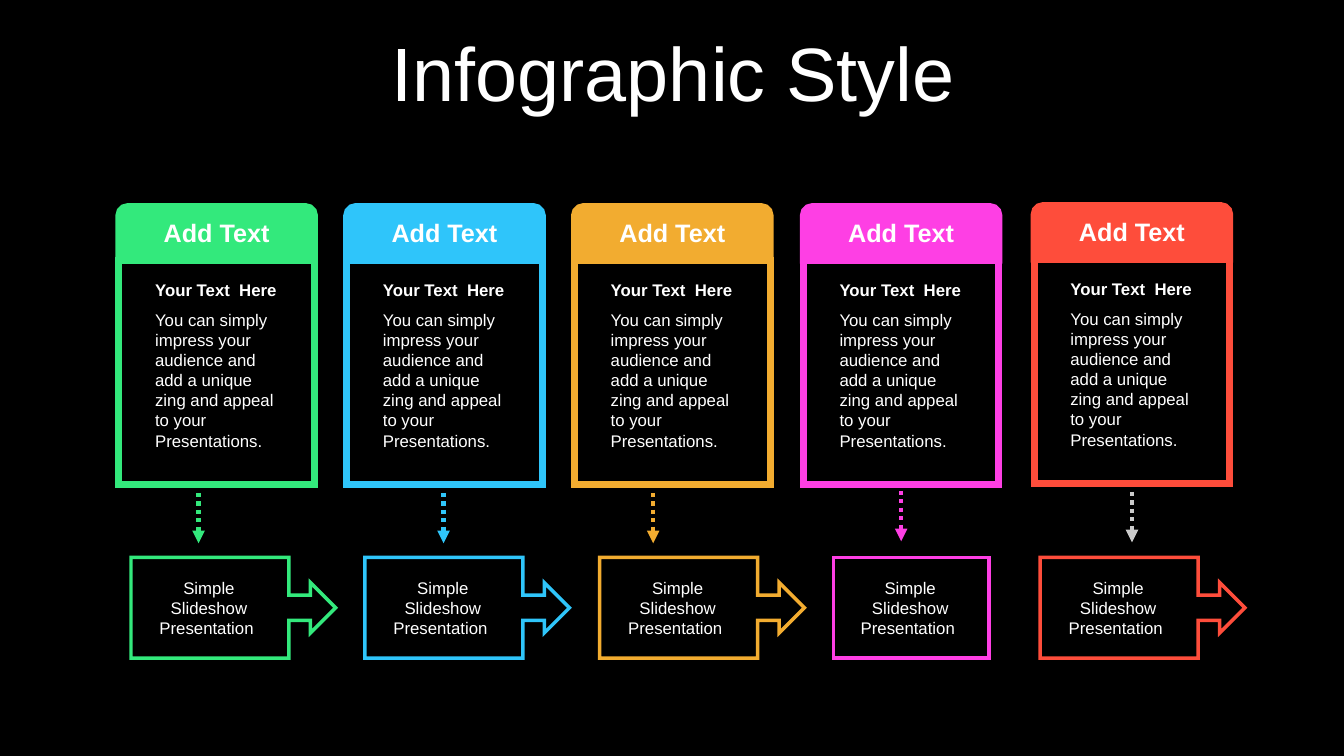
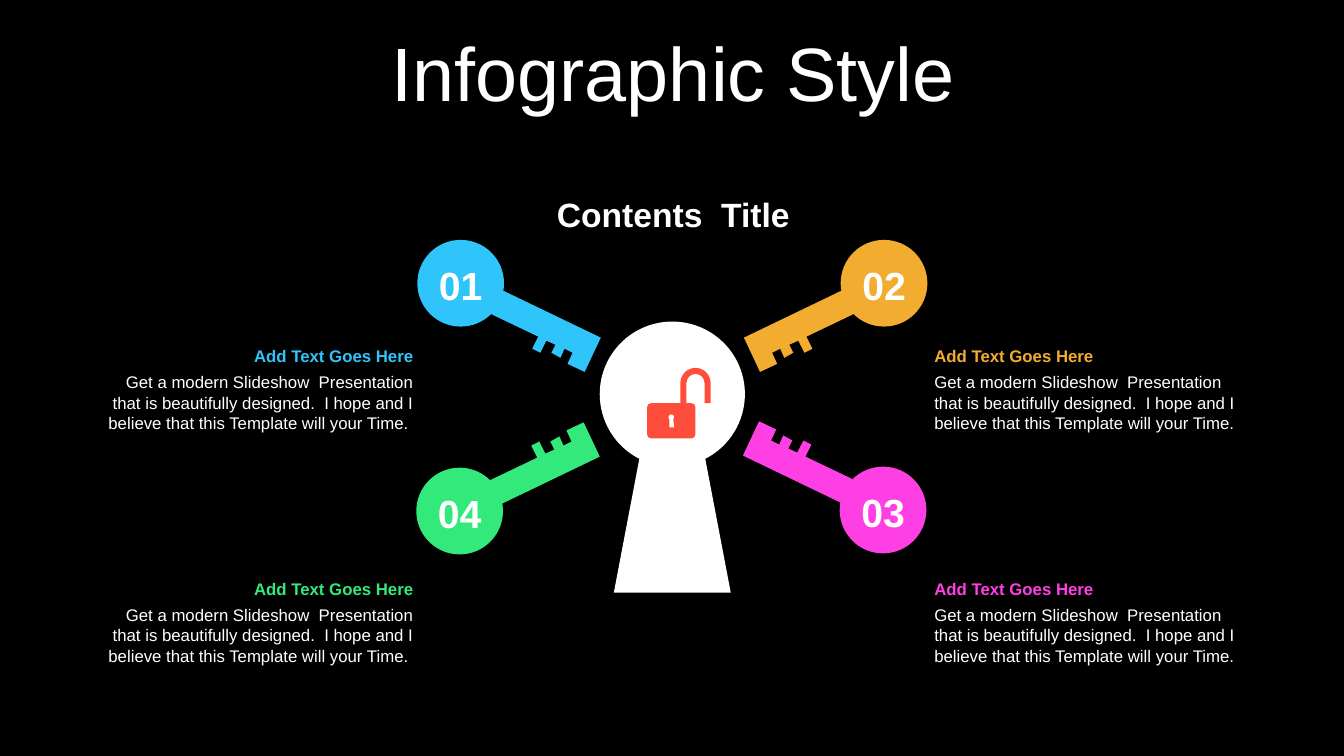
import math
from lxml import etree
from pptx import Presentation, util as u
from pptx.dml.color import RGBColor
from pptx.enum import dml, shapes, text
from pptx.oxml import ns

PX = 9144  # EMU in one px, 100 px to the inch
FONT = "Arial"
COLORS = {
    "black": "000000", "white": "FFFFFF", "gray": "CBCBCB",
    "green": "33E97C", "blue": "2FC5FA", "orange": "F2AC30",
    "pink": "FE3FE4", "red": "FE4D3B",
}
RGB = {name: RGBColor.from_string(value) for name, value in COLORS.items()}
SHAPE = shapes.MSO_SHAPE
ALIGN = text.PP_ALIGN
ANCHOR = text.MSO_ANCHOR


def put_text(sp, lines, size, align=ALIGN.CENTER, anchor=ANCHOR.MIDDLE, gap=0):
    """Fill a shape with paragraphs given as (wording, bold, color)."""
    tf = sp.text_frame
    tf.word_wrap = True
    tf.vertical_anchor = anchor
    for i, (wording, bold, color) in enumerate(lines):
        p = tf.add_paragraph() if i else tf.paragraphs[0]
        p.text = wording
        p.alignment = align
        if i:
            p.space_before = u.Pt(gap)
        for r in p.runs:
            r.font.name = FONT
            r.font.size = u.Pt(size)
            r.font.bold = bold
            r.font.color.rgb = RGB[color]


def outline(s, contours, color, cx=0, cy=0, flip_x=1, flip_y=1):
    """Draw closed contours of points (x, y) and arcs (x, y, radius, start, end)."""
    builder = None
    curved = []  # for each line segment: does a curve of three points start here
    for pieces in contours:
        points, starts = [], []
        for x, y, *bow in pieces:
            if not bow:
                points.append((x, y))
                starts.append(False)
                continue
            # One curve for each quadrant that the arc crosses
            radius, start, end = bow
            low, high = sorted((start, end))
            cuts = [low, *(a for a in range(0, 540, 90) if low < a < high), high]
            if start > end:
                cuts.reverse()
            turns = [math.radians(a) for a in cuts]
            points.append((x + radius * math.cos(turns[0]), y + radius * math.sin(turns[0])))
            starts.append(False)
            for a, b in zip(turns, turns[1:]):
                k = 4 / 3 * math.tan((b - a) / 4)
                for angle, pull in ((a, k), (b, -k), (b, 0)):
                    points.append((x + radius * (math.cos(angle) - pull * math.sin(angle)),
                                   y + radius * (math.sin(angle) + pull * math.cos(angle))))
                starts += [True, False, False]
        points = [((cx + flip_x * x) * PX, (cy + flip_y * y) * PX) for x, y in points]
        if builder:
            builder.move_to(*points[0])
        else:
            builder = s.shapes.build_freeform(*points[0])
        builder.add_line_segments(points[1:], close=True)
        curved += starts[1:]
    sp = builder.convert_to_shape()
    segments = list(sp._element.iter(ns.qn("a:lnTo")))
    for i, is_curve in enumerate(curved):
        if is_curve:
            curve = etree.Element(ns.qn("a:cubicBezTo"))
            segments[i].addprevious(curve)
            for segment in segments[i:i + 3]:
                curve.append(segment[0])
                segment.getparent().remove(segment)
    sp.shadow.inherit = False
    sp.fill.solid()
    sp.fill.fore_color.rgb = RGB[color]
    sp.line.fill.background()


prs = Presentation()
prs.slide_width, prs.slide_height = u.Inches(13.333), u.Inches(7.5)

# Shared background and title
background = prs.slide_master.background.fill
background.solid()
background.fore_color.rgb = RGB["black"]
slides = []
for title in ("Infographic Style", "Infographic Style"):
    s = prs.slides.add_slide(prs.slide_layouts[6])
    sp = s.shapes.add_textbox(35 * PX, 37 * PX, 1266 * PX, 79 * PX)
    put_text(sp, [(title, False, "white")], 54)
    sp.text_frame.paragraphs[0].line_spacing = 0.9
    slides.append(s)

# Slide 1: cards with an arrow down to a callout
s = slides[0]
CARD_W, HEAD_H, CARD_H = 194, 53, 223
CARD_TEXT = [
    ("Your Text  Here", True, "white"),
    ("You can simply impress your audience and add a unique zing and appeal "
     "to your Presentations.", False, "white"),
]
# color, card left, card top, arrow x, arrow top, arrow color, callout left
columns = [
    ("green", 118, 205, 197, 489, "green", 130),
    ("blue", 344, 205, 440, 489, "blue", 362),
    ("orange", 570, 205, 648, 489, "orange", 595),
    ("pink", 797, 205, 894, 487, "pink", 827),
    ("red", 1026, 204, 1123, 488, "gray", 1032),
]
for color, left, top, arrow_x, arrow_top, arrow_color, callout_left in columns:
    # The pink step ends in a plain box
    if color == "pink":
        callout, callout_w = SHAPE.RECTANGLE, 154
    else:
        callout, callout_w = SHAPE.RIGHT_ARROW_CALLOUT, 203
    parts = [
        (SHAPE.RECTANGLE, left, top + HEAD_H, CARD_W, CARD_H, "black", 5),
        (SHAPE.ROUND_2_SAME_RECTANGLE, left, top, CARD_W, HEAD_H, color, 5),
        (callout, callout_left, 553, callout_w, 100, "black", 2.5),
    ]
    drawn = []
    for kind, x, y, w, h, fill, weight in parts:
        sp = s.shapes.add_shape(kind, x * PX, y * PX, w * PX, h * PX)
        sp.shadow.inherit = False
        sp.fill.solid()
        sp.fill.fore_color.rgb = RGB[fill]
        sp.line.color.rgb = RGB[color]
        sp.line.width = u.Pt(weight)
        etree.SubElement(sp.line._get_or_add_ln(), ns.qn("a:miter"), lim="800000")
        drawn.append(sp)
    card, head, step = drawn
    head.text_frame.margin_bottom = 9 * PX
    put_text(head, [("Add Text", True, "white")], 18)
    if callout == SHAPE.RIGHT_ARROW_CALLOUT:
        step.adjustments[3] = 0.772
    step.text_frame.margin_left = 26 * PX
    step.text_frame.margin_right = 28 * PX
    put_text(step, [("Simple Slideshow Presentation ", False, "white")], 12)

    sp = s.shapes.add_textbox((left + 26) * PX, (top + 68) * PX, 142 * PX, 181 * PX)
    put_text(sp, CARD_TEXT, 12, ALIGN.LEFT, ANCHOR.TOP, gap=6.5)

    # Dotted arrow
    arrow = s.shapes.add_connector(
        shapes.MSO_CONNECTOR.STRAIGHT,
        arrow_x * PX, arrow_top * PX, arrow_x * PX, (arrow_top + 50) * PX)
    arrow.line.color.rgb = RGB[arrow_color]
    arrow.line.width = u.Pt(3)
    arrow.line.dash_style = dml.MSO_LINE.ROUND_DOT
    etree.SubElement(arrow.line._get_or_add_ln(), ns.qn("a:tailEnd"), type="triangle")
    etree.SubElement(arrow._element.spPr, ns.qn("a:effectLst"))

# Slide 2: keyhole in the middle
s = slides[1]
outline(s, [[(667, 391, 72, 117, 423), (725, 588), (609, 588)]], "white")

# Heading
sp = s.shapes.add_textbox(520 * PX, 187 * PX, 296 * PX, 50 * PX)
put_text(sp, [("Contents  Title", True, "white")], 24)

# Keys, measured from the centre of the bow, each with its text
KEY = [(0, 0, 43, 45, 370), (139, 54), (123, 88), (106, 80), (111, 69), (103, 65),
       (99, 74), (90, 69), (94, 61), (85, 57), (79, 69), (71, 65), (77, 53), (31, 31)]
BODY = ("Get a modern Slideshow  Presentation that is beautifully designed.  "
        "I hope and I believe that this Template will your Time.")
keys = [
    ("01", "blue", 457, 281, 1, 1),
    ("02", "orange", 877, 281, -1, 1),
    ("03", "pink", 876, 506, -1, -1),
    ("04", "green", 456, 507, 1, -1),
]
for number, color, cx, cy, flip_x, flip_y in keys:
    outline(s, [KEY], color, cx, cy, flip_x, flip_y)
    sp = s.shapes.add_textbox((cx - 37) * PX, (cy - 27) * PX, 74 * PX, 57 * PX)
    put_text(sp, [(number, True, "white")], 28)

    if flip_x == 1:
        left, width, align, body = 90, 330, ALIGN.RIGHT, BODY + " "
    else:
        left, width, align, body = 917, 325, ALIGN.LEFT, BODY
    top = 338 if flip_y == 1 else 569
    sp = s.shapes.add_textbox(left * PX, top * PX, width * PX, 98 * PX)
    put_text(sp, [("Add Text Goes Here", True, color), (body, False, "white")],
             12, align, ANCHOR.TOP, gap=4.5)

# Open padlock: shackle and body, then the hole
shackle_and_body = [
    (690, 380, 15, 180, 360), (705, 400), (699, 400),
    (690, 380, 9, 360, 180), (681, 400),
    (686, 404, 4, 270, 360), (686, 431, 4, 0, 90),
    (646, 431, 4, 90, 180), (646, 404, 4, 180, 270), (675, 400),
]
hole = [(666, 414, 3, 130, 410), (669, 424), (664, 424)]
outline(s, [shackle_and_body, hole], "red")

prs.save("out.pptx")
